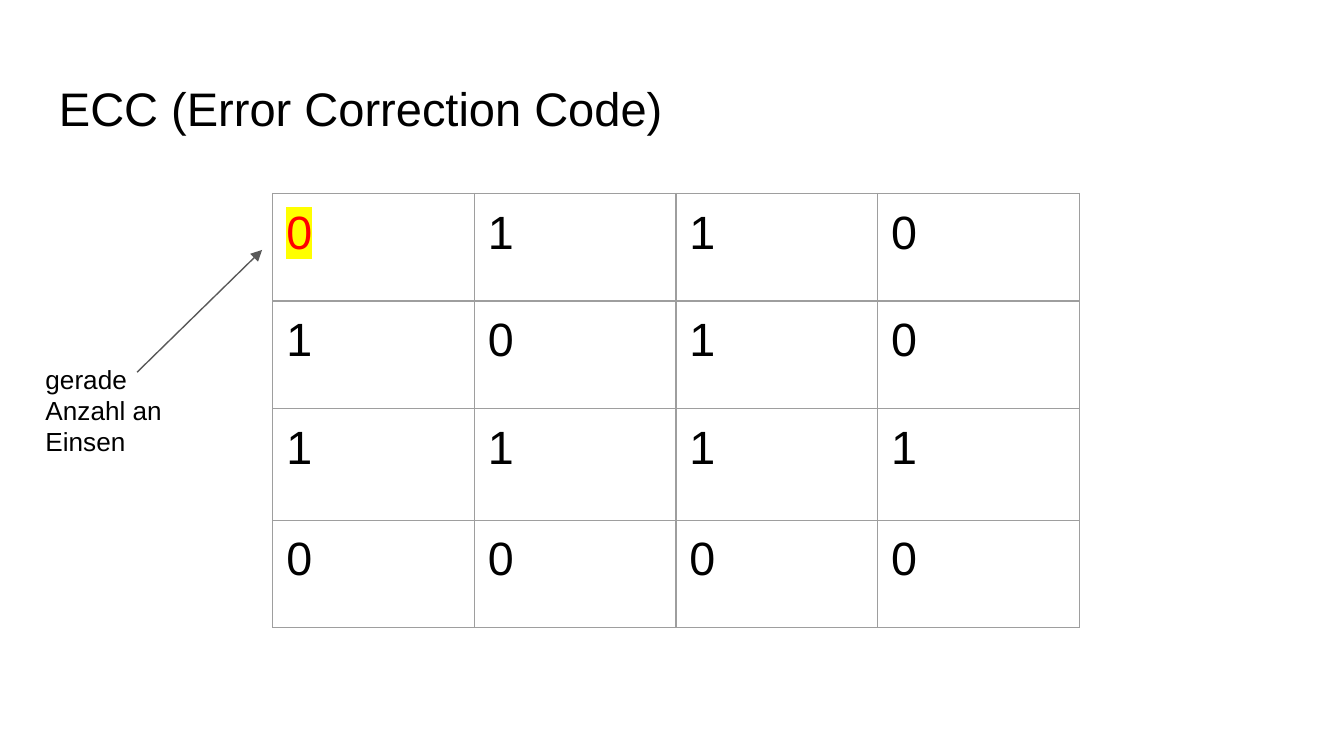
from dataclasses import dataclass

from pptx import Presentation
from pptx import util as u
from pptx.dml.color import RGBColor
from pptx.enum import shapes, text
from pptx.oxml.ns import qn
from lxml import etree

BLACK = RGBColor(0x00, 0x00, 0x00)
RED = RGBColor(0xFF, 0x00, 0x00)
YELLOW = RGBColor(0xFF, 0xFF, 0x00)
GREY = RGBColor(0x9E, 0x9E, 0x9E)
DARK = RGBColor(0x59, 0x59, 0x59)
FONT = "Arial"
PAD = u.Inches(0.1)
WIDE = u.Inches(10)

BITS = ["0110", "1010", "1111", "0000"]
ROWS = [0.8, 0.8, 0.83, 0.8]
COL = 1.5


@dataclass
class Label:
    words: str
    box: tuple[float, float, float, float]
    size: float


TITLE = Label("ECC (Error Correction Code)", (0.34, 0.49, 9.32, 0.63), 25.2)
NOTE = Label("gerade Anzahl an Einsen", (0.24, 2.6, 1.3, 0.91), 14)


def add_run(para, words: str, size: float, color: RGBColor = BLACK):
    run = para.add_run()
    run.text = words
    run.font.size = u.Pt(size)
    run.font.name = FONT
    run.font.color.rgb = color
    return run


def mark(run, color: RGBColor) -> None:
    """Put a highlight behind a run, right after its fill."""
    light = etree.Element(qn("a:highlight"))
    etree.SubElement(light, qn("a:srgbClr"), val=str(color))
    run._r.rPr.find(qn("a:solidFill")).addnext(light)


def pad(item) -> None:
    item.margin_left = item.margin_right = PAD
    item.margin_top = item.margin_bottom = PAD


def add_label(slide, label: Label) -> None:
    box = slide.shapes.add_textbox(*map(u.Inches, label.box))
    frame = box.text_frame
    frame.word_wrap = True
    frame.vertical_anchor = text.MSO_ANCHOR.TOP
    pad(frame)
    add_run(frame.paragraphs[0], label.words, label.size)


def add_edges(cell) -> None:
    props = cell._tc.get_or_add_tcPr()
    for spot, side in enumerate(("lnL", "lnR", "lnT", "lnB")):
        line = etree.Element(qn(f"a:{side}"), w=str(u.Pt(0.75)))
        fill = etree.SubElement(line, qn("a:solidFill"))
        etree.SubElement(fill, qn("a:srgbClr"), val=str(GREY))
        props.insert(spot, line)


def add_grid(slide) -> None:
    count = len(BITS[0])
    size = (2.03, 1.44, COL * count, sum(ROWS))
    grid = slide.shapes.add_table(len(BITS), count, *map(u.Inches, size)).table
    grid.first_row = grid.horz_banding = False
    for col in grid.columns:
        col.width = u.Inches(COL)
    for r, (bits, high) in enumerate(zip(BITS, ROWS)):
        grid.rows[r].height = u.Inches(high)
        for c, bit in enumerate(bits):
            cell = grid.cell(r, c)
            cell.fill.background()
            pad(cell)
            add_edges(cell)
            parity = r == c == 0
            run = add_run(cell.text_frame.paragraphs[0], bit, 25,
                          RED if parity else BLACK)
            if parity:
                mark(run, YELLOW)


def add_arrow(slide) -> None:
    ends = map(u.Inches, (1.02, 2.77, 1.95, 1.86))
    arrow = slide.shapes.add_connector(shapes.MSO_CONNECTOR.STRAIGHT, *ends)
    arrow.line.color.rgb = DARK
    arrow.line.width = u.Pt(0.75)
    line = arrow.line._get_or_add_ln()
    etree.SubElement(line, qn("a:tailEnd"), type="triangle")
    etree.SubElement(arrow._element.spPr, qn("a:effectLst"))


def main() -> None:
    # Widescreen, 16 by 9
    deck = Presentation()
    deck.slide_width = WIDE
    deck.slide_height = WIDE * 9 // 16
    slide = deck.slides.add_slide(deck.slide_layouts[6])

    # Title, bit grid, note and its arrow
    add_label(slide, TITLE)
    add_grid(slide)
    add_label(slide, NOTE)
    add_arrow(slide)
    deck.save("out.pptx")


if __name__ == "__main__":
    main()
